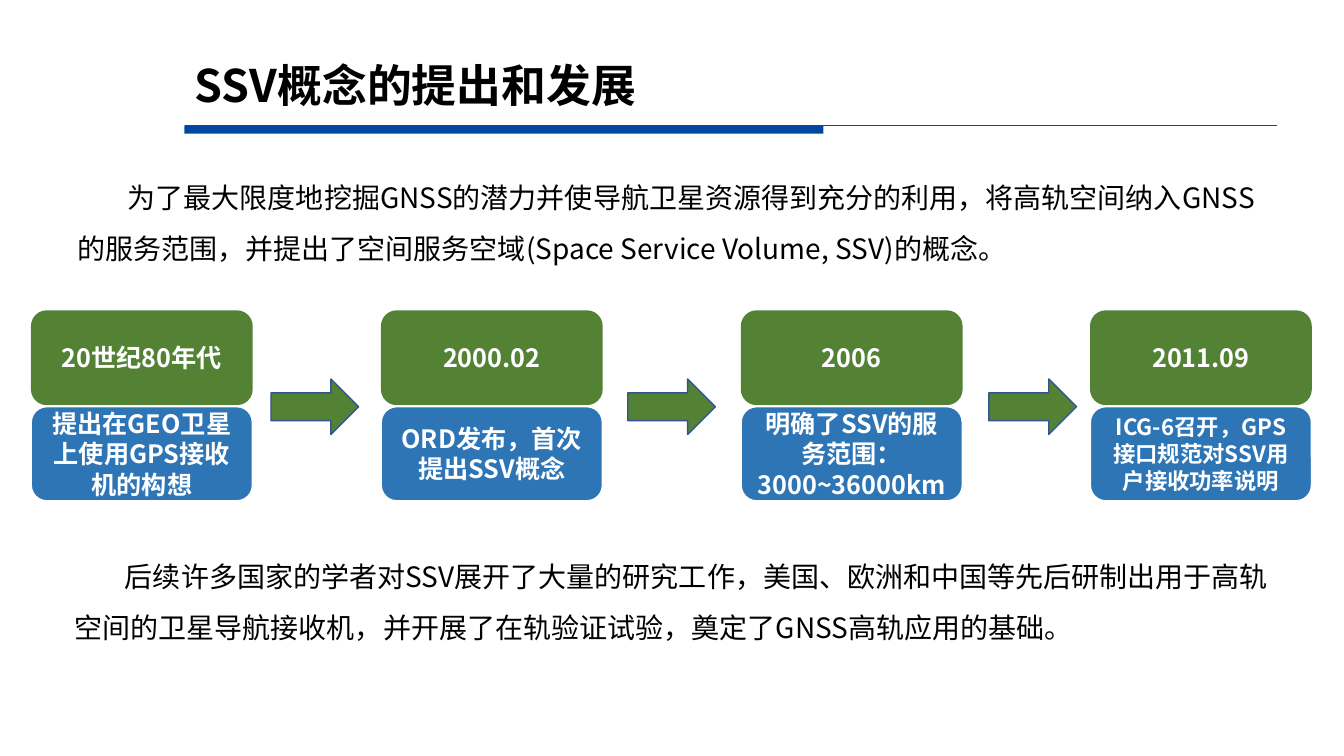
from pptx import Presentation
from pptx.dml.color import RGBColor
from pptx.enum.shapes import MSO_CONNECTOR, MSO_SHAPE
from pptx.enum.text import MSO_ANCHOR as ANCHOR, MSO_AUTO_SIZE as AUTO, PP_ALIGN as ALIGN
from pptx.oxml.ns import qn
from pptx.util import Cm, Pt

FONT = "Noto Sans CJK SC"
BLACK = RGBColor(0x00, 0x00, 0x00)
WHITE = RGBColor(0xFF, 0xFF, 0xFF)
GREEN = RGBColor(0x54, 0x82, 0x35)
BLUE = RGBColor(0x2E, 0x75, 0xB6)
ARROW_LINE = RGBColor(0x32, 0x54, 0x91)
RULE_BLUE = RGBColor(0x00, 0x48, 0x9F)
RULE_LINE = RGBColor(0x33, 0x33, 0x99)

CARD_W, CARD_H = 5.59, 2.39
DATE_TOP, EVENT_TOP = 7.82, 10.24

# left edge, date, event, event text size
MILESTONES = [
    (0.78, "20世纪80年代", "提出在GEO卫星上使用GPS接收机的构想", 18),
    (9.6, "2000.02", "ORD发布，首次提出SSV概念", 18),
    (18.67, "2006", "明确了SSV的服务范围：3000~36000km", 18),
    (27.47, "2011.09", "ICG-6召开，GPS 接口规范对SSV用户接收功率说明", 16),
]
ARROW_LEFTS = [6.83, 15.82, 24.92]

INTRO = ("为了最大限度地挖掘GNSS的潜力并使导航卫星资源得到充分的利用，"
         "将高轨空间纳入GNSS的服务范围，并提出了空间服务空域"
         "(Space Service Volume, SSV)的概念。")
OUTLOOK = ("后续许多国家的学者对SSV展开了大量的研究工作，"
           "美国、欧洲和中国等先后研制出用于高轨空间的卫星导航接收机，"
           "并开展了在轨验证试验，奠定了GNSS高轨应用的基础。")


def add_run(p, text, size, color, bold=False):
    """Add a run with the font set for both Latin and Chinese characters."""
    r = p.add_run()
    r.text = text
    r.font.name = FONT
    r.font.size = Pt(size)
    r.font.bold = bold
    r.font.color.rgb = color
    ea = r.font._element.makeelement(qn("a:ea"), {"typeface": FONT})
    r.font._element.find(qn("a:latin")).addnext(ea)


def add_filled(s, kind, left, top, width, height, fill, line=None, line_pt=1):
    sp = s.shapes.add_shape(kind, Cm(left), Cm(top), Cm(width), Cm(height))
    sp.shadow.inherit = False
    sp.fill.solid()
    sp.fill.fore_color.rgb = fill
    if line is None:
        sp.line.fill.background()
    else:
        sp.line.color.rgb = line
        sp.line.width = Pt(line_pt)
    return sp


def add_card(s, left, top, text, size, fill, line=None):
    sp = add_filled(s, MSO_SHAPE.ROUNDED_RECTANGLE, left, top, CARD_W, CARD_H,
                    fill, line, 1.5)
    tf = sp.text_frame
    tf.word_wrap = True
    tf.vertical_anchor = ANCHOR.MIDDLE
    p = tf.paragraphs[0]
    p.alignment = ALIGN.CENTER
    add_run(p, text, size, WHITE, bold=True)


def add_title(s, text):
    sp = s.shapes.title
    sp.left, sp.top, sp.width, sp.height = Cm(4.65), Cm(1.27), Cm(25.6), Cm(1.88)
    tf = sp.text_frame
    tf.vertical_anchor = ANCHOR.MIDDLE
    p = tf.paragraphs[0]
    p.alignment = ALIGN.LEFT
    p.line_spacing = 0.9
    add_run(p, text, 32, BLACK, bold=True)


def add_title_rule(s):
    left, top = 4.65, 3.16
    add_filled(s, MSO_SHAPE.RECTANGLE, left, top, 16.1, 0.21, RULE_BLUE)
    line = s.shapes.add_connector(MSO_CONNECTOR.STRAIGHT, Cm(left), Cm(top),
                                  Cm(32.17), Cm(top))
    line.line.color.rgb = RULE_LINE
    line.line.width = Pt(0.75)
    sp_pr = line._element.spPr
    sp_pr.append(sp_pr.makeelement(qn("a:effectLst"), {}))


def add_paragraph_box(s, left, top, width, text):
    sp = s.shapes.add_textbox(Cm(left), Cm(top), Cm(width), Cm(2.82))
    tf = sp.text_frame
    tf.word_wrap = True
    tf.auto_size = AUTO.SHAPE_TO_FIT_TEXT
    p = tf.paragraphs[0]
    p.line_spacing = 1.5
    p._p.get_or_add_pPr().set("indent", str(Cm(1.27)))
    add_run(p, text, 20, BLACK)


def main():
    prs = Presentation()
    prs.slide_width, prs.slide_height = Cm(33.87), Cm(19.05)
    s = prs.slides.add_slide(prs.slide_layouts[5])
    add_title_rule(s)
    add_title(s, "SSV概念的提出和发展")
    for left, date, event, size in MILESTONES:
        add_card(s, left, DATE_TOP, date, 18, GREEN)
        add_card(s, left, EVENT_TOP, event, size, BLUE, WHITE)
    for left in ARROW_LEFTS:
        add_filled(s, MSO_SHAPE.RIGHT_ARROW, left, 9.55, 2.21, 1.4, GREEN, ARROW_LINE)
    add_paragraph_box(s, 1.7, 4.01, 30.48, INTRO)
    add_paragraph_box(s, 1.63, 13.56, 30.76, OUTLOOK)
    prs.save("out.pptx")


if __name__ == "__main__":
    main()
